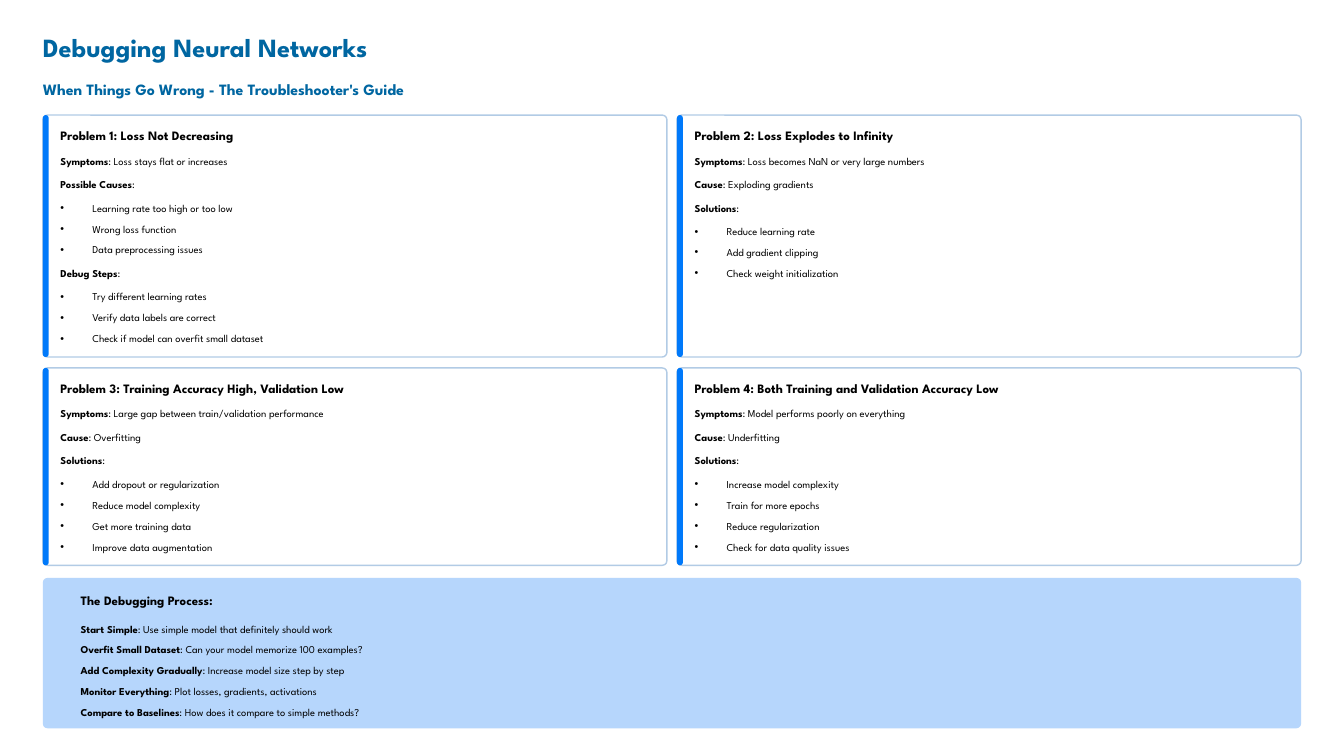
import pptx
import pptx.util
import pptx.dml.color
import pptx.enum.shapes
import pptx.enum.text
import pptx.oxml.ns
import lxml.etree

Inches, Pt = pptx.util.Inches, pptx.util.Pt
FONT = "League Spartan"
RADIUS = 0.055
INDENT = 0.38
COLORS = {"title": "0066A1", "text": "000000", "card": "FFFFFF",
          "edge": "B2CBE5", "bar": "0079FA", "panel": "B6D6FC"}

# Lines with a colon have a bold label; the others are bullets
CARDS = [
    ("Problem 1: Loss Not Decreasing", [
        "Symptoms: Loss stays flat or increases", "Possible Causes:",
        "Learning rate too high or too low", "Wrong loss function",
        "Data preprocessing issues", "Debug Steps:",
        "Try different learning rates", "Verify data labels are correct",
        "Check if model can overfit small dataset"]),
    ("Problem 2: Loss Explodes to Infinity", [
        "Symptoms: Loss becomes NaN or very large numbers",
        "Cause: Exploding gradients", "Solutions:", "Reduce learning rate",
        "Add gradient clipping", "Check weight initialization"]),
    ("Problem 3: Training Accuracy High, Validation Low", [
        "Symptoms: Large gap between train/validation performance",
        "Cause: Overfitting", "Solutions:", "Add dropout or regularization",
        "Reduce model complexity", "Get more training data",
        "Improve data augmentation"]),
    ("Problem 4: Both Training and Validation Accuracy Low", [
        "Symptoms: Model performs poorly on everything",
        "Cause: Underfitting", "Solutions:", "Increase model complexity",
        "Train for more epochs", "Reduce regularization",
        "Check for data quality issues"]),
]
STEPS = [
    "Start Simple: Use simple model that definitely should work",
    "Overfit Small Dataset: Can your model memorize 100 examples?",
    "Add Complexity Gradually: Increase model size step by step",
    "Monitor Everything: Plot losses, gradients, activations",
    "Compare to Baselines: How does it compare to simple methods?",
]


def color(name):
    return pptx.dml.color.RGBColor.from_string(COLORS[name])


def panel(slide, box, fill, edge=None):
    """Rounded panel with the same corner radius at any size."""
    shape = slide.shapes.add_shape(
        pptx.enum.shapes.MSO_SHAPE.ROUNDED_RECTANGLE, *map(Inches, box))
    shape.adjustments[0] = min(0.5, RADIUS / min(box[2:]))
    shape.shadow.inherit = False
    shape.fill.solid()
    shape.fill.fore_color.rgb = color(fill)
    if edge:
        shape.line.color.rgb = color(edge)
        shape.line.width = Pt(1.2)
    else:
        shape.line.fill.background()


def place(shape, box):
    """Move a text shape to the box and to the front, without margins."""
    shape.left, shape.top, shape.width, shape.height = map(Inches, box)
    tree = shape._element.getparent()
    tree.append(shape._element)
    frame = shape.text_frame
    frame.word_wrap = True
    frame.auto_size = pptx.enum.text.MSO_AUTO_SIZE.NONE
    frame.vertical_anchor = pptx.enum.text.MSO_ANCHOR.TOP
    frame.margin_left = frame.margin_right = 0
    frame.margin_top = frame.margin_bottom = 0
    return frame


def style(para, size, line, tone="text", bold=False, gap=0, bullet=False):
    props = para._p.get_or_add_pPr()
    indent = Inches(INDENT) if bullet else 0
    props.set("marL", str(indent))
    props.set("indent", str(-indent))
    mark = lxml.etree.SubElement(
        props, pptx.oxml.ns.qn("a:buChar" if bullet else "a:buNone"))
    if bullet:
        mark.set("char", "•")
    para.alignment = pptx.enum.text.PP_ALIGN.LEFT
    para.line_spacing = Pt(line)
    para.space_before = Pt(gap)
    para.space_after = Pt(0)
    para.font.name = FONT
    para.font.size = Pt(size)
    para.font.bold = bold
    para.font.color.rgb = color(tone)


def write(frame, head, lines, first, wide, tight):
    """Heading, then lines: wide gaps, but tight between similar lines."""
    para = frame.paragraphs[0]
    para.text = head
    style(para, 11, 14, bold=True)
    last = None
    for text in lines:
        label, colon, rest = text.partition(":")
        bullet = not colon
        para = frame.add_paragraph()
        para.add_run().text = label
        if colon:
            para.runs[0].font.bold = True
            para.add_run().text = colon + rest
        gap = first if last is None else tight if bullet and last else wide
        style(para, 9, 14.5, gap=gap, bullet=bullet)
        last = bullet


def header(slide, box):
    left, top, width, _ = box
    title = place(slide.shapes.title, (left, top, width, 0.4))
    title.text = "Debugging Neural Networks"
    style(title.paragraphs[0], 22.5, 28.5, "title", True)
    sub = place(slide.shapes.add_textbox(0, 0, 0, 0),
                (left, top + 0.59, width, 0.24))
    sub.text = "When Things Go Wrong - The Troubleshooter's Guide"
    style(sub.paragraphs[0], 13.5, 17, "title", True)


def card(slide, body, box, head, lines):
    left, top, width, height = box
    panel(slide, box, "card", "edge")
    panel(slide, (left, top, 0.07, height), "bar")
    frame = place(body, (left + 0.21, top + 0.14, width - 0.36, height - 0.2))
    write(frame, head, lines, first=6.1, wide=5.65, tight=3.4)


def process(slide, box):
    left, top, width, height = box
    panel(slide, box, "panel")
    frame = place(slide.shapes.add_textbox(0, 0, 0, 0),
                  (left + 0.45, top + 0.16, width - 0.58, height - 0.2))
    write(frame, "The Debugging Process:", STEPS, first=9, wide=3.4, tight=3.4)


def main():
    deck = pptx.Presentation()
    deck.slide_width, deck.slide_height = Inches(16), Inches(9)
    # The comparison layout has a title and four bodies
    slide = deck.slides.add_slide(deck.slide_layouts[4])
    bodies = list(slide.placeholders)[1:]

    header(slide, (0.51, 0.35, 14.98, 0.83))
    rows = [(1.37, 2.88), (4.38, 2.35)]
    for i, (body, (head, lines)) in enumerate(zip(bodies, CARDS)):
        top, height = rows[i // 2]
        card(slide, body, (0.51 + i % 2 * 7.55, top, 7.43, height), head, lines)
    process(slide, (0.51, 6.88, 14.98, 1.79))
    deck.save("out.pptx")


if __name__ == "__main__":
    main()
